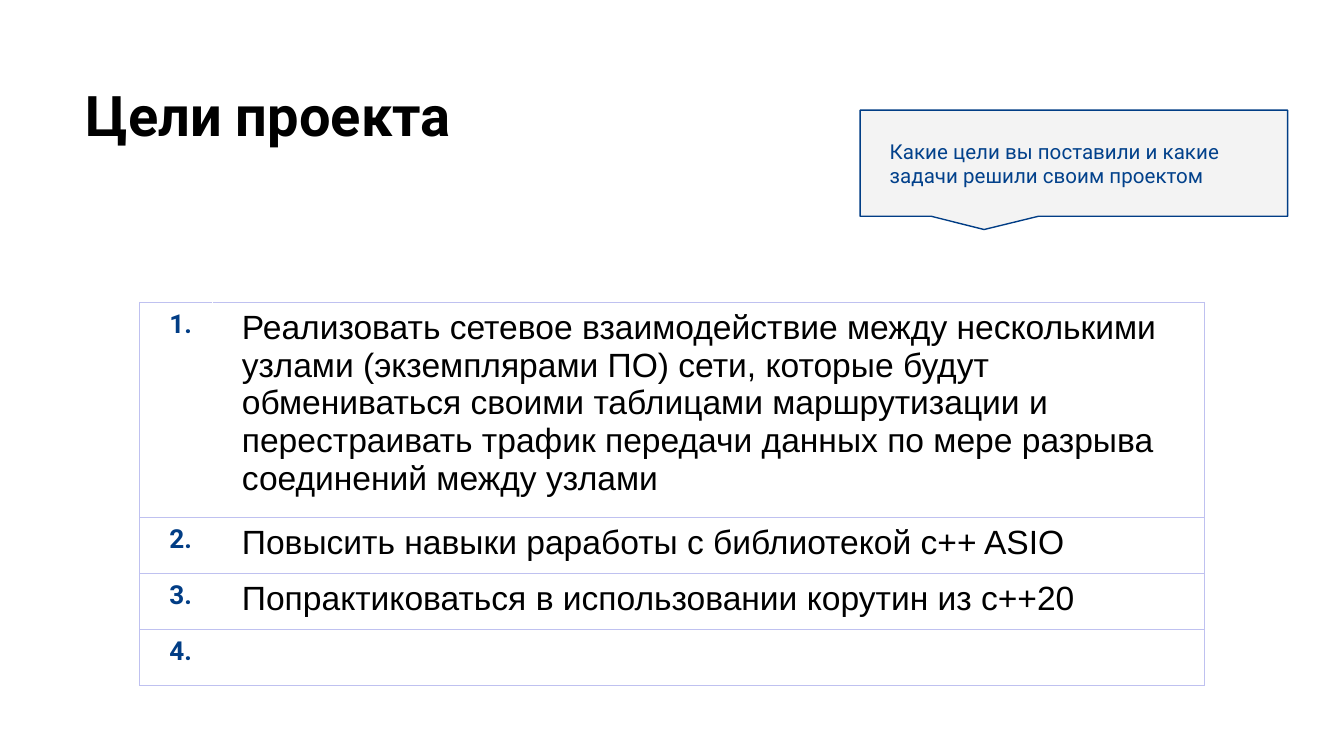
from dataclasses import dataclass
from typing import NamedTuple

from lxml.etree import SubElement
from pptx import Presentation
from pptx.dml.color import RGBColor
from pptx.enum.shapes import MSO_SHAPE
from pptx.enum.text import MSO_ANCHOR, PP_ALIGN
from pptx.oxml.ns import qn
from pptx.util import Pt


class Style(NamedTuple):
    face: str
    size: float
    color: str
    bold: bool = False


class Box(NamedTuple):
    left: float
    top: float
    width: float
    height: float

    def points(self) -> list[Pt]:
        return [Pt(side) for side in self]


@dataclass(frozen=True)
class Theme:
    title: Style = Style("Roboto", 30, "000000", True)
    number: Style = Style("Roboto", 14, "013D85", True)
    goal: Style = Style("Arial", 18, "000000")
    note: Style = Style("Roboto", 11, "02418B")
    panel: str = "F3F3F3"
    edge: str = "013D85"
    rule: str = "BFC1F0"
    blank: str = "FFFFFF"
    line: float = 0.75


@dataclass(frozen=True)
class Goal:
    number: str
    text: str


THEME = Theme()
GOALS = [
    Goal("1.", "Реализовать сетевое взаимодействие между несколькими узлами "
               "(экземплярами ПО) сети, которые будут обмениваться своими "
               "таблицами маршрутизации и перестраивать трафик передачи данных "
               "по мере разрыва соединений между узлами"),
    Goal("2.", "Повысить навыки раработы с библиотекой c++ ASIO"),
    Goal("3.", "Попрактиковаться в использовании корутин из c++20"),
    Goal("4.", ""),
]


def write(frame, text: str, style: Style) -> None:
    frame.word_wrap = True
    para = frame.paragraphs[0]
    para.text = text
    para.alignment = PP_ALIGN.LEFT
    font = para.font
    font.name, font.size, font.bold = style.face, Pt(style.size), style.bold
    font.color.rgb = RGBColor.from_string(style.color)


def inset(item, side: float, edge: float, right: float) -> None:
    item.margin_left, item.margin_right = Pt(side), Pt(right)
    item.margin_top = item.margin_bottom = Pt(edge)


def border(cell, left: str, right: str) -> None:
    props = cell._tc.get_or_add_tcPr()
    sides = {"L": left, "R": right, "T": THEME.rule, "B": THEME.rule}
    for side, color in sides.items():
        line = SubElement(props, qn(f"a:ln{side}"), w=str(Pt(THEME.line)))
        fill = SubElement(line, qn("a:solidFill"))
        SubElement(fill, qn("a:srgbClr"), val=color)


def add_title(slide, box: Box, text: str) -> None:
    frame = slide.shapes.add_textbox(*box.points()).text_frame
    inset(frame, 7.2, 7.2, 7.2)
    write(frame, text, THEME.title)


def add_goals(slide, box: Box, widths: list[float], goals: list[Goal]) -> None:
    table = slide.shapes.add_table(len(goals), len(widths), *box.points()).table
    table.first_row = table.horz_banding = False
    for column, width in zip(table.columns, widths):
        column.width = Pt(width)
    for row, goal in zip(table.rows, goals):
        first, second = row.cells
        border(first, THEME.rule, THEME.blank)
        border(second, THEME.blank, THEME.rule)
        write(first.text_frame, goal.number, THEME.number)
        write(second.text_frame, goal.text, THEME.goal)
        for cell in row.cells:
            cell.fill.background()
            inset(cell, 15.84, 3.6, 7.2)


def add_note(slide, box: Box, text: str) -> None:
    note = slide.shapes.add_shape(MSO_SHAPE.RECTANGULAR_CALLOUT, *box.points())
    note.shadow.inherit = False
    note.adjustments[0], note.adjustments[1] = -0.21, 0.625
    note.fill.solid()
    note.fill.fore_color.rgb = RGBColor.from_string(THEME.panel)
    note.line.color.rgb = RGBColor.from_string(THEME.edge)
    note.line.width = Pt(THEME.line)
    frame = note.text_frame
    frame.vertical_anchor = MSO_ANCHOR.MIDDLE
    inset(frame, 15.84, 10.08, 15.84)
    write(frame, text, THEME.note)


def main() -> None:
    deck = Presentation()
    deck.slide_width, deck.slide_height = Pt(720), Pt(405)
    slide = deck.slides.add_slide(deck.slide_layouts[6])
    add_title(slide, Box(38.9, 36, 671, 103), "Цели проекта")
    add_goals(slide, Box(74.9, 162, 570.2, 120), [38.9, 531.3], GOALS)
    add_note(slide, Box(460.8, 59, 229, 56.9),
             "Какие цели вы поставили и какие задачи решили своим проектом")
    deck.save("out.pptx")


if __name__ == "__main__":
    main()
